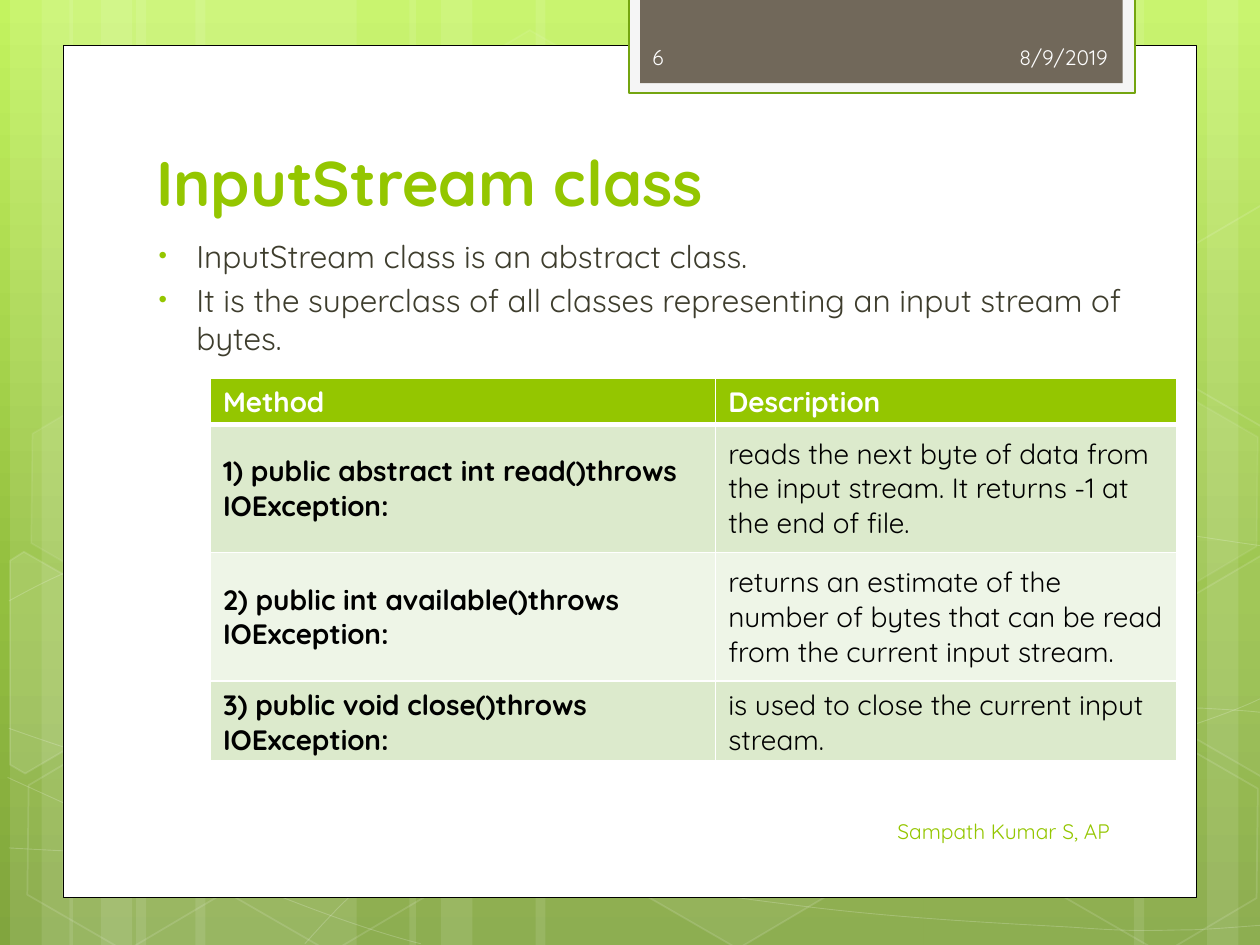
from copy import deepcopy
from dataclasses import dataclass
from typing import NamedTuple, Optional

from lxml import etree
from pptx import Presentation
from pptx import util as u
from pptx.dml.color import RGBColor
from pptx.enum import shapes, text
from pptx.oxml.ns import qn


@dataclass(frozen=True)
class Theme:
    font: str = "Quicksand"
    bullet_font: str = "Arial"
    white: str = "FFFFFF"
    black: str = "000000"
    accent: str = "94C600"
    body: str = "3E3D2D"
    pale: str = "FEFEFE"
    tab_edge: str = "74A510"
    tab_rim: str = "F5F5F5"
    tab: str = "71685A"
    stripes: tuple = ("DCEACC", "EEF5E7")
    sky: tuple = ((0, "C3F35F"), (0.62, "93BF3F"), (1, "81A53E"))
    title_size: float = 36
    body_size: float = 18
    table_size: float = 16
    small_size: float = 12


class Ink(NamedTuple):
    color: str
    opacity: int = 100
    width: float = 1


class Area(NamedTuple):
    left: float
    top: float
    width: float
    height: float


class Hexagon(NamedTuple):
    left: float
    top: float
    fill: int
    line: int


class Label(NamedTuple):
    words: str
    area: Area
    size: float
    color: str
    bold: bool = False
    align: text.PP_ALIGN = text.PP_ALIGN.LEFT
    anchor: text.MSO_ANCHOR = text.MSO_ANCHOR.MIDDLE


THEME = Theme()
COLUMNS, ROWS = 10, 7.5
CELL = u.Inches(10) // COLUMNS

BANDS = [(1.08, 1.75), (0.08, 0.5), (0.33, 0.83), (1.55, 1.75), (0.55, 0.5), (0.8, 0.83),
         (7.33, 1.75), (9.58, 0.5), (9, 0.83), (4.25, 3.08), (3.25, 0.5), (3.5, 0.83)]
CURVES = [
    [(0.07, 6.73), (0.61, 6.76), (1.15, 6.79), (1.9, 6.78), (2.65, 6.77), (3.58, 6.75), (4.58, 6.65),
     (5.58, 6.55), (7, 6.36), (7.92, 6.17), (8.83, 5.98), (9.77, 5.68), (10.07, 5.51)],
    [(0.07, 4.77), (0.36, 4.61), (0.65, 4.46), (1.21, 4.31), (1.78, 4.16), (2.59, 3.94), (3.47, 3.87),
     (4.36, 3.8), (5.44, 3.79), (6.54, 3.87), (7.64, 3.95), (9.47, 4.26), (10.07, 4.34)],
    [(0.06, 6.17), (1.27, 6.72), (2.47, 7.27), (3.34, 7.49)],
    [(0.07, 5.78), (0.38, 5.89), (0.7, 6), (1.28, 6.16), (1.86, 6.31), (2.73, 6.56), (3.57, 6.73),
     (4.4, 6.9), (5.45, 7.08), (6.28, 7.18), (7.11, 7.29), (8, 7.33), (8.53, 7.36),
     (9.05, 7.4), (9.19, 7.38), (9.45, 7.38), (9.71, 7.37), (9.89, 7.35), (10.07, 7.34)],
    [(2.42, 7.49), (2.6, 7.29), (2.78, 7.09), (3.02, 6.91), (3.26, 6.73), (3.6, 6.53), (3.88, 6.39),
     (4.16, 6.25), (4.33, 6.19), (4.7, 6.09), (5.06, 5.99), (5.73, 5.85), (6.08, 5.78),
     (6.44, 5.71), (6.49, 5.71), (6.8, 5.69), (7.11, 5.66), (7.6, 5.63), (7.94, 5.62),
     (8.29, 5.61), (8.86, 5.62), (8.86, 5.62), (8.86, 5.62), (9.53, 5.62), (9.53, 5.62),
     (9.71, 5.63), (9.88, 5.64), (9.97, 5.65), (10.06, 5.66), (10.03, 5.65), (10.06, 5.66)],
]
HEXAGONS = [Hexagon(3.34, 0.36, 4, 8), Hexagon(4.97, 5.89, 6, 12), Hexagon(0.11, 5.91, 0, 12),
            Hexagon(0.14, 3.12, 7, 8), Hexagon(1.74, 5.92, 0, 12), Hexagon(7.53, 4.53, 10, 12),
            Hexagon(8.34, 5.93, 0, 12), Hexagon(8.34, 3.14, 7, 8)]
CUT_HEXAGONS = [
    ([(0.08, 4.45), (0.19, 4.38), (0.96, 4.82), (0.95, 5.7), (0.2, 6.14), (0.08, 6.07)], 10),
    ([(9.26, 4.85), (10.01, 4.41), (10.09, 4.46), (10.09, 6.13), (10.02, 6.17), (9.26, 5.73)], 4),
    ([(9.26, 2.07), (10.01, 1.63), (10.1, 1.68), (10.09, 3.35), (10.02, 3.39), (9.26, 2.95)], 0),
]
LABELS = [
    Label("InputStream class", Area(1.14, 1.25, 7.68, 0.54), THEME.title_size, THEME.accent,
          bold=True, anchor=text.MSO_ANCHOR.BOTTOM),
    Label("8/9/2019", Area(6.56, 0.25, 2.33, 0.4), THEME.small_size, THEME.pale,
          align=text.PP_ALIGN.RIGHT),
    Label("Sampath Kumar S, AP", Area(5.08, 6.4, 3.83, 0.4), THEME.small_size, THEME.accent,
          align=text.PP_ALIGN.RIGHT),
    Label("6", Area(5.08, 0.25, 1.46, 0.4), THEME.small_size, THEME.pale),
]
BULLETS = ["InputStream class is an abstract class.",
           "It is the superclass of all classes representing an input stream of bytes."]
METHODS = [
    ("Method", "Description"),
    ("1) public abstract int read()throws IOException:",
     "reads the next byte of data from the input stream. It returns -1 at the end of file."),
    ("2) public int available()throws IOException:",
     "returns an estimate of the number of bytes that can be read from the current input stream."),
    ("3) public void close()throws IOException:", "is used to close the current input stream."),
]
TABLE_AREA = Area(1.67, 3, 7.67, 3.19)
TABLE_COLUMNS = (4.01, 3.66)
TABLE_ROWS = (0.32, 1.02, 1.02, 0.55)


def cells(count: float) -> int:
    return round(count * CELL)


def place(area: tuple) -> list[int]:
    return [cells(length) for length in area]


def paint(fill, holder, ink: Optional[Ink]) -> None:
    if ink is None or ink.opacity == 0:
        fill.background()
        return
    fill.solid()
    fill.fore_color.rgb = RGBColor.from_string(ink.color)
    if ink.opacity < 100:
        color = holder.find(qn("a:solidFill"))[0]
        etree.SubElement(color, qn("a:alpha"), val=str(ink.opacity * 1000))


def style(shape, fill: Optional[Ink], line: Optional[Ink]) -> None:
    shape.shadow.inherit = False
    properties = shape.element.spPr
    paint(shape.fill, properties, fill)
    if line:
        shape.line.width = u.Pt(line.width)
    paint(shape.line.fill, properties.get_or_add_ln(), line)


def add_box(page, area: Area, fill: Ink, line: Optional[Ink] = None) -> None:
    box = page.shapes.add_shape(shapes.MSO_SHAPE.RECTANGLE, *place(area))
    style(box, fill, line)


def add_hexagon(page, hexagon: Hexagon) -> None:
    area = Area(hexagon.left, hexagon.top, 1.75, 1.52)
    shape = page.shapes.add_shape(shapes.MSO_SHAPE.HEXAGON, *place(area))
    shape.adjustments[0], shape.adjustments[1] = 0.28, 1.15
    shape.rotation = 30
    style(shape, Ink(THEME.white, hexagon.fill), Ink(THEME.white, hexagon.line))


def add_outline(page, points: list, closed: bool, fill: Optional[Ink], line: Ink):
    start, *others = [place(point) for point in points]
    builder = page.shapes.build_freeform(*start)
    builder.add_line_segments(others, close=closed)
    shape = builder.convert_to_shape()
    style(shape, fill, line)
    return shape


def add_curve(page, knots: list, line: Ink) -> None:
    shape = add_outline(page, knots, False, None, line)
    segments = list(shape.element.iter(qn("a:lnTo")))
    track = segments[0].getparent()
    for first in range(0, len(segments), 3):
        bend = etree.SubElement(track, qn("a:cubicBezTo"))
        for segment in segments[first:first + 3]:
            bend.append(segment[0])
            track.remove(segment)


def set_font(para, size: float, color: str, bold: bool = False) -> None:
    para.font.name, para.font.size, para.font.bold = THEME.font, u.Pt(size), bold
    para.font.color.rgb = RGBColor.from_string(color)


def add_label(page, label: Label) -> None:
    frame = page.shapes.add_textbox(*place(label.area)).text_frame
    frame.word_wrap, frame.vertical_anchor = True, label.anchor
    para = frame.paragraphs[0]
    para.text, para.alignment = label.words, label.align
    set_font(para, label.size, label.color, label.bold)


def add_bullets(page, area: Area) -> None:
    frame = page.shapes.add_textbox(*place(area)).text_frame
    frame.word_wrap = True
    frame.text = "\n".join(BULLETS)
    for index, para in enumerate(frame.paragraphs):
        para.space_before = u.Pt(3.6 if index else 0)
        properties = para._p.get_or_add_pPr()
        properties.set("marL", str(cells(0.38)))
        properties.set("indent", str(cells(-0.3)))
        color = etree.SubElement(properties, qn("a:buClr"))
        etree.SubElement(color, qn("a:srgbClr"), val=THEME.accent)
        etree.SubElement(properties, qn("a:buSzPct"), val="76000")
        etree.SubElement(properties, qn("a:buFont"), typeface=THEME.bullet_font)
        etree.SubElement(properties, qn("a:buChar"), char="•")
        set_font(para, THEME.body_size, THEME.body)


def add_borders(cell, row: int) -> None:
    widths = {"L": 1, "R": 1, "T": 3 if row == 1 else 1, "B": 3 if row == 0 else 1}
    properties = cell._tc.get_or_add_tcPr()
    for index, (side, width) in enumerate(widths.items()):
        border = etree.Element(qn(f"a:ln{side}"), w=str(u.Pt(width)))
        fill = etree.SubElement(border, qn("a:solidFill"))
        etree.SubElement(fill, qn("a:srgbClr"), val=THEME.white)
        properties.insert(index, border)


def add_methods(page) -> None:
    holder = page.shapes.add_table(len(TABLE_ROWS), len(TABLE_COLUMNS), *place(TABLE_AREA))
    table = holder.table
    for column, width in zip(table.columns, TABLE_COLUMNS):
        column.width = cells(width)
    for row, (height, entries) in enumerate(zip(TABLE_ROWS, METHODS)):
        table.rows[row].height = cells(height)
        header = row == 0
        for column, words in enumerate(entries):
            cell = table.cell(row, column)
            cell.text, cell.vertical_anchor = words, text.MSO_ANCHOR.MIDDLE
            cell.fill.solid()
            color = THEME.accent if header else THEME.stripes[(row - 1) % 2]
            cell.fill.fore_color.rgb = RGBColor.from_string(color)
            set_font(cell.text_frame.paragraphs[0], THEME.table_size,
                     THEME.white if header else THEME.black, header or column == 0)
            add_borders(cell, row)
    holder.height = cells(TABLE_AREA.height)


def add_sky(page) -> None:
    fill = page.background.fill
    fill.gradient()
    fill.gradient_angle = 270
    stops = next(page.element.iter(qn("a:gsLst")))
    stops.append(deepcopy(stops[-1]))
    for stop, (position, color) in zip(fill.gradient_stops, THEME.sky):
        stop.position, stop.color.rgb = position, RGBColor.from_string(color)


def main() -> None:
    deck = Presentation()
    deck.slide_width, deck.slide_height = cells(COLUMNS), cells(ROWS)
    page = deck.slides.add_slide(deck.slide_layouts[6])
    add_sky(page)
    for left, width in BANDS:
        add_box(page, Area(left, 0, width, ROWS), Ink(THEME.white, 10))
    for knots in CURVES:
        add_curve(page, knots, Ink(THEME.white, 20, 0.5))
    for hexagon in HEXAGONS:
        add_hexagon(page, hexagon)
    for points, opacity in CUT_HEXAGONS:
        add_outline(page, points, True, Ink(THEME.white, opacity), Ink(THEME.white, 12))
    add_box(page, Area(0.5, 0.36, 9, 6.76), Ink(THEME.white), Ink(THEME.black, width=0.5))
    add_box(page, Area(4.99, -0.02, 4.02, 0.76), Ink(THEME.tab_rim), Ink(THEME.tab_edge, width=1.25))
    add_box(page, Area(5.08, -0.02, 3.83, 0.68), Ink(THEME.tab))
    for label in LABELS:
        add_label(page, label)
    add_bullets(page, Area(1.08, 1.83, 8.08, 4.83))
    add_methods(page)
    deck.save("out.pptx")


if __name__ == "__main__":
    main()
